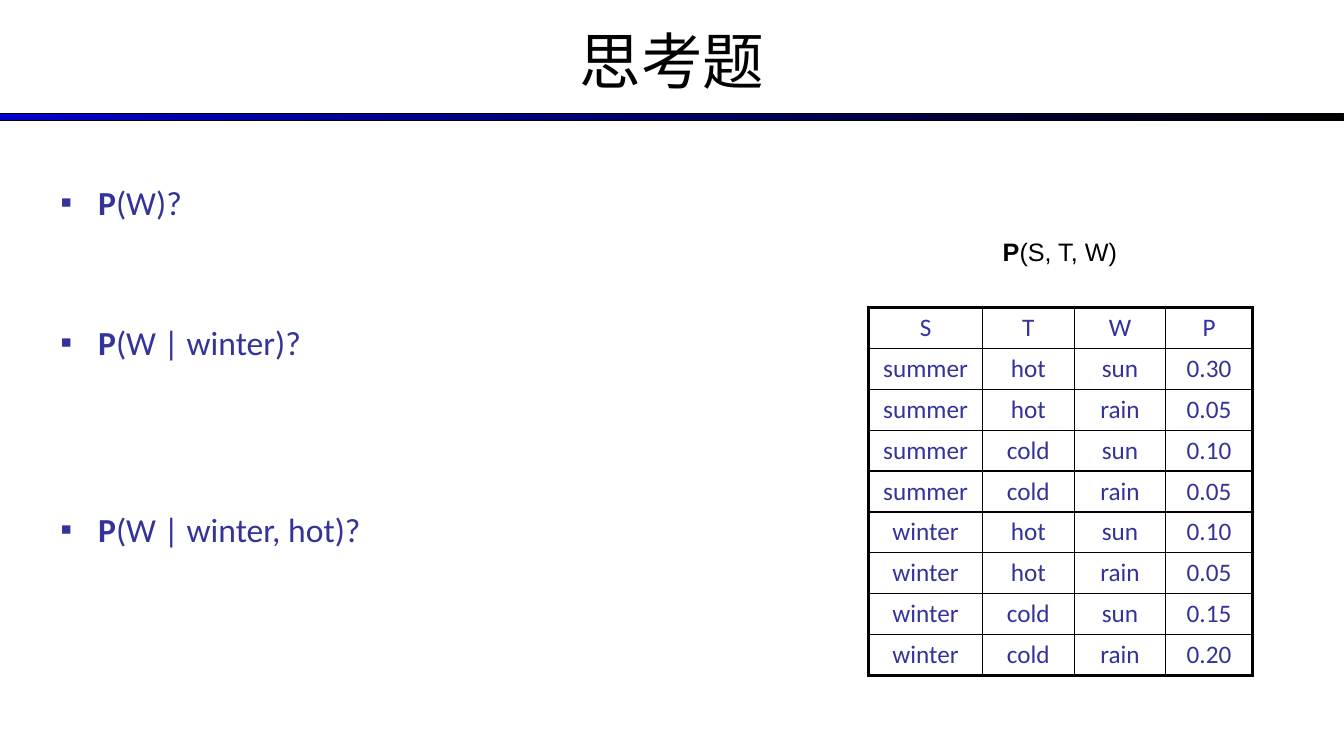
from lxml.etree import SubElement
from pptx import Presentation
from pptx.dml.color import RGBColor
from pptx.enum.shapes import MSO_SHAPE as SHAPE
from pptx.enum.text import MSO_ANCHOR as ANCHOR, MSO_AUTO_SIZE as AUTO, PP_ALIGN as ALIGN
from pptx.oxml.ns import qn
from pptx.util import Cm, Pt

BLACK = RGBColor(0x00, 0x00, 0x00)
BLUE = RGBColor(0x00, 0x00, 0xCC)
INDIGO = RGBColor(0x33, 0x33, 0x99)


def add_text(p, text, font="Calibri", size=18, color=INDIGO, bold=False, align=None):
    """Append one formatted run to a paragraph."""
    r = p.add_run()
    r.text = text
    r.font.name, r.font.size, r.font.bold = font, Pt(size), bold
    r.font.color.rgb = color
    if align is not None:
        p.alignment = align


class Deck:
    """Slide with the style used for its elements."""
    thin, thick = 1, 2.25

    def __init__(self, prs):
        self.s = prs.slides.add_slide(prs.slide_layouts[1])

    def place(self, sp, x, y, w, h):
        sp.left, sp.top, sp.width, sp.height = Cm(x), Cm(y), Cm(w), Cm(h)

    def title(self, text, *box):
        sp = self.s.shapes.title
        self.place(sp, *box)
        tf = sp.text_frame
        tf.vertical_anchor, tf.auto_size = ANCHOR.MIDDLE, AUTO.NONE
        add_text(tf.paragraphs[0], text, size=44, color=BLACK, align=ALIGN.CENTER)

    def bar(self, *box):
        sp = self.s.shapes.add_shape(SHAPE.RECTANGLE, *map(Cm, box))
        sp.shadow.inherit = False
        sp.fill.gradient()
        sp.fill.gradient_angle = 0
        for stop, color in zip(sp.fill.gradient_stops, (BLUE, BLACK)):
            stop.color.rgb = color
        sp.line.color.rgb, sp.line.width = BLACK, Pt(0.75)
        self.s.shapes._spTree.insert(2, sp._element)  # send to back

    def questions(self, items, *box):
        sp = self.s.placeholders[1]
        self.place(sp, *box)
        tf = sp.text_frame
        tf.vertical_anchor, tf.auto_size = ANCHOR.TOP, AUTO.NONE
        for i, (arguments, gap) in enumerate(items):
            p = tf.add_paragraph() if i else tf.paragraphs[0]
            p.space_before = Pt(gap)
            pPr = p._p.get_or_add_pPr()
            pPr.set("marL", str(Cm(0.95)))
            pPr.set("indent", str(-Cm(0.95)))
            color = SubElement(pPr, qn("a:buClr"))
            SubElement(color, qn("a:srgbClr"), val=str(INDIGO))
            SubElement(pPr, qn("a:buFont"), typeface="Arial")
            SubElement(pPr, qn("a:buChar"), char="▪")
            add_text(p, "P", size=24, bold=True)
            add_text(p, f"({arguments})?", size=24)

    def label(self, head, tail, *box):
        tf = self.s.shapes.add_textbox(*map(Cm, box)).text_frame
        tf.word_wrap = False
        p = tf.paragraphs[0]
        add_text(p, head, font="Arial", color=BLACK, bold=True)
        add_text(p, tail, font="Arial", color=BLACK)

    def border(self, cell, side, width):
        ln = SubElement(cell._tc.get_or_add_tcPr(), qn(f"a:ln{side}"), w=str(Pt(width)))
        fill = SubElement(ln, qn("a:solidFill"))
        SubElement(fill, qn("a:srgbClr"), val=str(BLACK))

    def table(self, rows, widths, row_height, x, y):
        n, m = len(rows), len(widths)
        tbl = self.s.shapes.add_table(n, m, Cm(x), Cm(y), Cm(sum(widths)),
                                      Cm(n * row_height)).table
        tbl.first_row = tbl.horz_banding = False
        for col, w in zip(tbl.columns, widths):
            col.width = Cm(w)
        for i, row in enumerate(rows):
            tbl.rows[i].height = Cm(row_height)
            for j, text in enumerate(row):
                cell = tbl.cell(i, j)
                add_text(cell.text_frame.paragraphs[0], text, align=ALIGN.CENTER)
                # Thick frame, thin inner grid
                outer = {"L": j == 0, "R": j == m - 1, "T": i == 0, "B": i == n - 1}
                for side, is_outer in outer.items():
                    self.border(cell, side, self.thick if is_outer else self.thin)
                cell.fill.background()


def main():
    prs = Presentation()
    prs.slide_width, prs.slide_height = Cm(33.87), Cm(19.05)
    deck = Deck(prs)

    # Heading
    deck.bar(0, 2.87, 33.87, 0.18)
    deck.title("思考题", 0, -0.08, 33.87, 3.18)

    # Questions, each with the space above it in points
    deck.questions([("W", 0), ("W | winter", 71.4), ("W | winter, hot", 105)],
                   1.27, 4.45, 11.23, 12.57)

    # Joint distribution
    deck.table([
        ("S", "T", "W", "P"),
        ("summer", "hot", "sun", "0.30"),
        ("summer", "hot", "rain", "0.05"),
        ("summer", "cold", "sun", "0.10"),
        ("summer", "cold", "rain", "0.05"),
        ("winter", "hot", "sun", "0.10"),
        ("winter", "hot", "rain", "0.05"),
        ("winter", "cold", "sun", "0.15"),
        ("winter", "cold", "rain", "0.20"),
    ], (2.87, 2.31, 2.31, 2.18), 1.03, 21.89, 7.75)
    deck.label("P", "(S, T, W)", 25.02, 5.82, 3.43, 1.02)

    prs.save("out.pptx")


if __name__ == "__main__":
    main()
